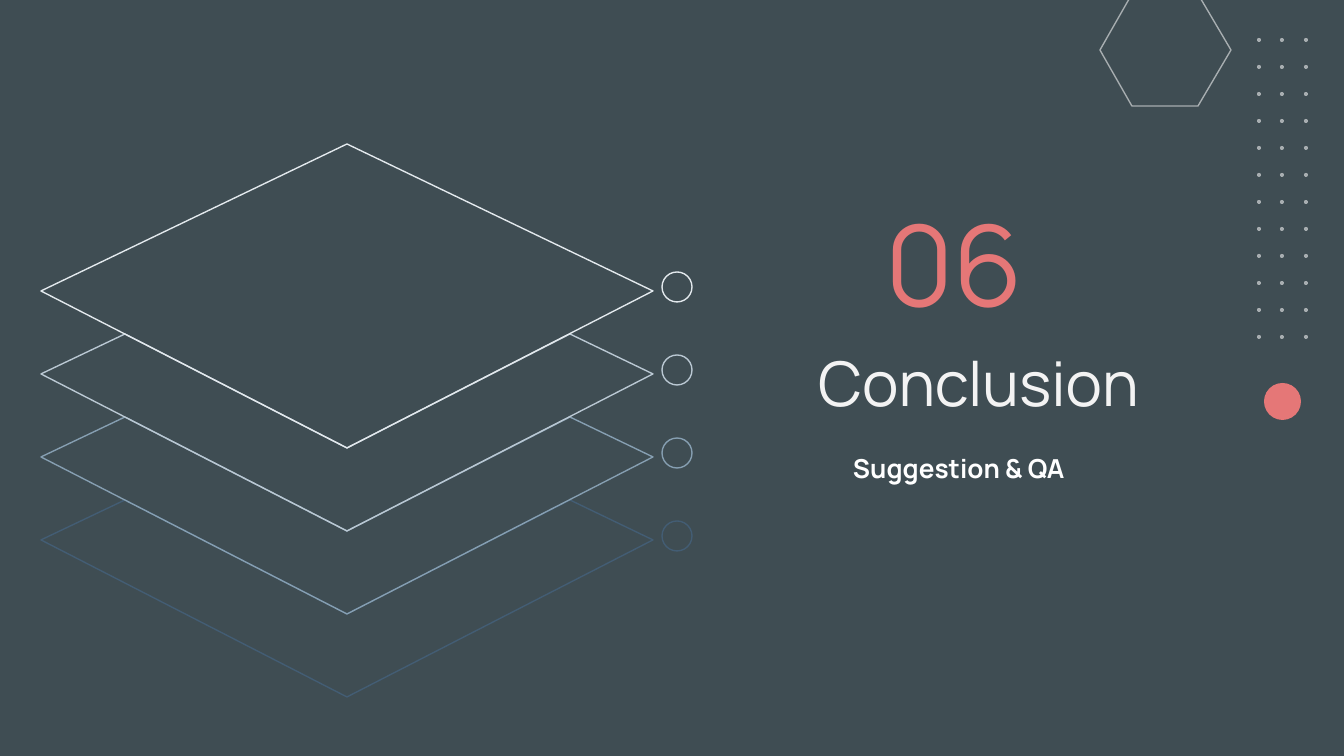
import pptx
import pptx.dml.color
import pptx.enum.shapes
import pptx.enum.text
import pptx.oxml
import pptx.oxml.ns
import pptx.util
from lxml import etree

RGBColor = pptx.dml.color.RGBColor
ANCHOR = pptx.enum.text.MSO_ANCHOR
ALIGN = pptx.enum.text.PP_ALIGN

SLATE = RGBColor(0x3F, 0x4D, 0x53)
CORAL = RGBColor(0xE5, 0x77, 0x77)
OFF_WHITE = RGBColor(0xF3, 0xF3, 0xF3)
WHITE = RGBColor(0xFF, 0xFF, 0xFF)
LAYER_COLORS = [
    RGBColor(0xE3, 0xE9, 0xED),
    RGBColor(0xBA, 0xC8, 0xD3),
    RGBColor(0x86, 0x9F, 0xB2),
    RGBColor(0x43, 0x5D, 0x74),
]
FONT = "Manrope"
LAYER_STEP = 83
DOT_COLUMNS = (1257, 1280, 1304)
DOT_ROWS = 12
DOT_STEP = 27


def px(n):
    return pptx.util.Emu(round(n * 9144000 / 1344))


def set_alpha(color_format_parent, percent):
    color = color_format_parent.find(".//" + pptx.oxml.ns.qn("a:srgbClr"))
    alpha = etree.SubElement(color, pptx.oxml.ns.qn("a:alpha"))
    alpha.set("val", str(percent * 1000))


def style(sp, fill=None, line=None, alpha=None):
    sp.shadow.inherit = False
    if fill is None:
        sp.fill.background()
    else:
        sp.fill.solid()
        sp.fill.fore_color.rgb = fill
    if line is None:
        sp.line.fill.background()
    else:
        sp.line.color.rgb = line
        sp.line.width = pptx.util.Pt(0.75)
    if alpha is not None:
        set_alpha(sp._element.spPr, alpha)


def add_text(s, text, x, y, w, h, size, color, align, anchor, top=13, bold=False):
    tf = s.shapes.add_textbox(px(x), px(y), px(w), px(h)).text_frame
    tf.word_wrap = True
    tf.vertical_anchor = anchor
    tf.margin_left = tf.margin_right = tf.margin_bottom = px(13)
    tf.margin_top = px(top)
    p = tf.paragraphs[0]
    p.text = text
    p.alignment = align
    p.font.name = FONT
    p.font.size = pptx.util.Pt(size)
    p.font.bold = bold
    p.font.color.rgb = color


def add_circle(shapes, x, y, size, **look):
    oval = pptx.enum.shapes.MSO_SHAPE.OVAL
    style(shapes.add_shape(oval, px(x), px(y), px(size), px(size)), **look)


def add_outline(shapes, points, **look):
    points = [(px(x), px(y)) for x, y in points]
    builder = shapes.build_freeform(*points[0], scale=1.0)
    builder.add_line_segments(points[1:], close=True)
    style(builder.convert_to_shape(), **look)


def add_dot_grid(s):
    shapes = s.shapes.add_group_shape().shapes
    for x in DOT_COLUMNS:
        for row in range(DOT_ROWS):
            add_circle(shapes, x, 38 + row * DOT_STEP, 4, fill=WHITE, alpha=55)


def layer_points(i):
    if i == 0:
        return [(347, 144), (653, 291), (347, 448), (41, 291)]
    chevron = [(125, 251), (41, 291), (347, 448), (653, 291), (570, 251), (347, 365)]
    return [(x, y + i * LAYER_STEP) for x, y in chevron]


def add_layer_stack(s):
    shapes = s.shapes.add_group_shape().shapes
    for i, color in reversed(list(enumerate(LAYER_COLORS))):
        add_outline(shapes, layer_points(i), line=color)
        add_circle(shapes, 662, 272 + i * LAYER_STEP, 30, line=color)


def main():
    prs = pptx.Presentation()
    prs.slide_width, prs.slide_height = px(1344), px(756)
    s = prs.slides.add_slide(prs.slide_layouts[6])
    s.background.fill.solid()
    s.background.fill.fore_color.rgb = SLATE

    add_text(s, "Conclusion", 773, 345, 411, 301, 33, OFF_WHITE,
             ALIGN.CENTER, ANCHOR.TOP, top=0)
    add_text(s, "Suggestion & QA", 840, 439, 343, 60, 14, WHITE,
             ALIGN.LEFT, ANCHOR.TOP, bold=True)
    add_text(s, "06", 828, 210, 253, 103, 60, CORAL, ALIGN.CENTER, ANCHOR.MIDDLE)

    hexagon = [(1132, -6), (1198, -6), (1231, 50), (1198, 106), (1132, 106), (1100, 50)]
    add_outline(s.shapes, hexagon, line=WHITE, alpha=55)
    add_circle(s.shapes, 1264, 383, 37, fill=CORAL)
    add_dot_grid(s)
    add_layer_stack(s)
    prs.save("out.pptx")


if __name__ == "__main__":
    main()
